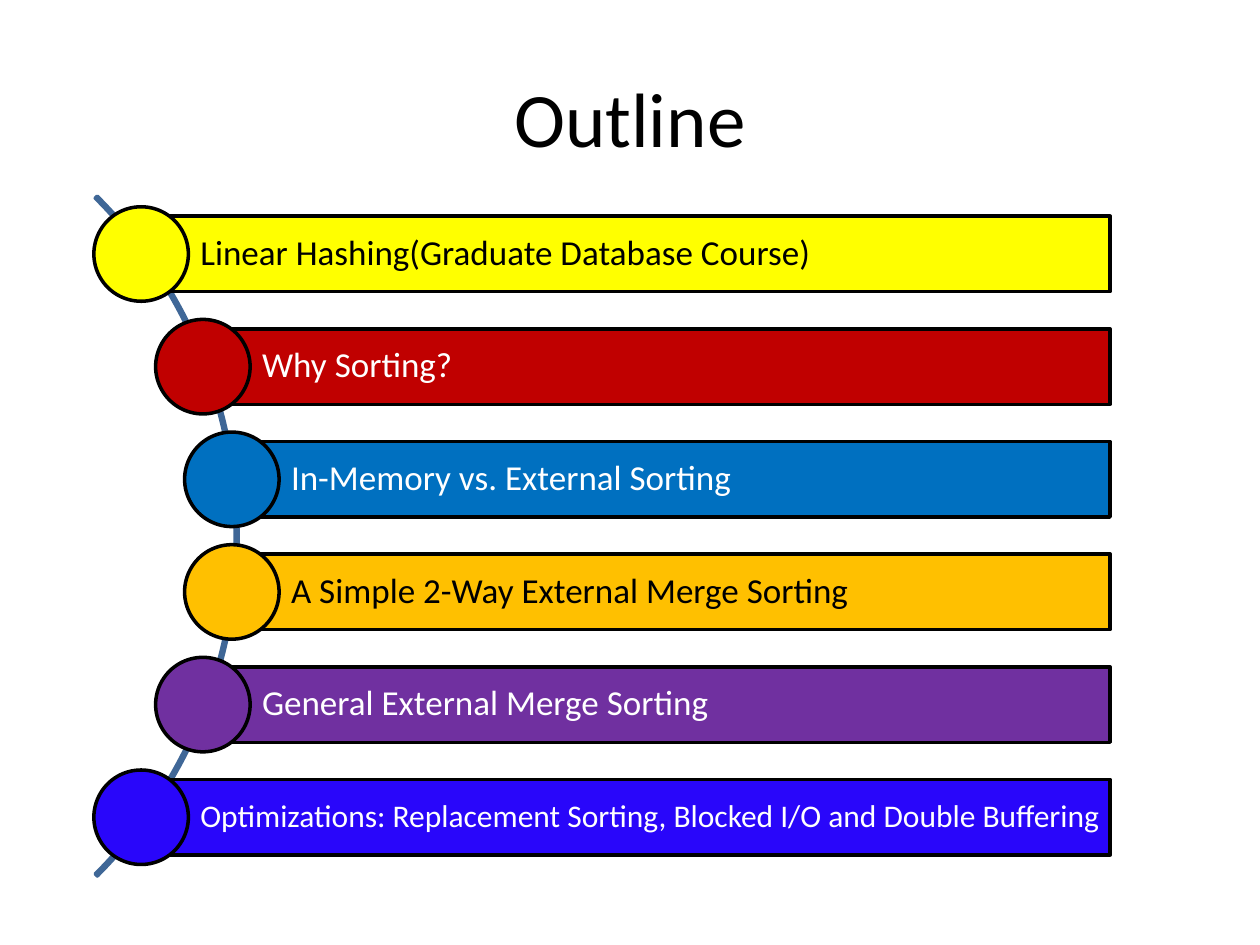
from pptx import Presentation
from pptx.dml.color import RGBColor
from pptx.enum.shapes import MSO_SHAPE
from pptx.enum.text import MSO_ANCHOR, PP_ALIGN
from pptx.util import Inches, Pt

RECT, OVAL, ARC = MSO_SHAPE.RECTANGLE, MSO_SHAPE.OVAL, MSO_SHAPE.BLOCK_ARC
MIDDLE = MSO_ANCHOR.MIDDLE
LEFT, CENTER = PP_ALIGN.LEFT, PP_ALIGN.CENTER

COLORS = {
    "black": "000000", "white": "FFFFFF", "steel": "3F6797",
    "yellow": "FFFF00", "red": "C00000", "blue": "0070C0",
    "amber": "FFC000", "purple": "7030A0", "indigo": "2906FA",
}

# text, fill, text colour, text size, circle centre (columns)
TOPICS = [
    ("Linear Hashing(Graduate Database Course)", "yellow", "black", 20, 11.2),
    ("Why Sorting?", "red", "white", 20, 16.1),
    ("In-Memory vs. External Sorting", "blue", "white", 20, 18.4),
    ("A Simple 2-Way External Merge Sorting", "amber", "black", 20, 18.4),
    ("General External Merge Sorting", "purple", "white", 20, 16.1),
    ("Optimizations: Replacement Sorting, Blocked I/O and Double Buffering",
     "indigo", "white", 18, 11.2),
]
FIRST_ROW, ROW_STEP = 20.16, 8.94
BAR_RIGHT, BAR_HEIGHT, CIRCLE = 88.1, 6, 7.5


class Deck:
    """Style and current slide; lengths are cells of a 100 by 75 grid."""
    FONT = "Calibri"
    LINE = Pt(2)

    def __init__(self):
        self.prs = Presentation()
        self.prs.slide_width, self.prs.slide_height = Inches(10), Inches(7.5)
        self.cell = self.prs.slide_width / 100
        self.s = self.prs.slides.add_slide(self.prs.slide_layouts[6])

    def grid(self, *cells):
        return [round(c * self.cell) for c in cells]

    def color(self, name):
        return RGBColor.from_string(COLORS[name])

    def shape(self, kind, box, fill=None, line="black"):
        sp = self.s.shapes.add_shape(kind, *self.grid(*box))
        sp.shadow.inherit = False
        if fill:
            sp.fill.solid()
            sp.fill.fore_color.rgb = self.color(fill)
        else:
            sp.fill.background()
        sp.line.color.rgb = self.color(line)
        sp.line.width = self.LINE
        return sp

    def label(self, sp, text, size, color, align=LEFT, insets=(1, 0.5, 1, 0.5)):
        tf = sp.text_frame
        tf.word_wrap = True
        tf.vertical_anchor = MIDDLE
        (tf.margin_left, tf.margin_top,
         tf.margin_right, tf.margin_bottom) = self.grid(*insets)
        p = tf.paragraphs[0]
        p.text, p.alignment = text, align
        p.font.name, p.font.size = self.FONT, Pt(size)
        p.font.color.rgb = self.color(color)
        return p

    def title(self, text, box):
        sp = self.s.shapes.add_textbox(*self.grid(*box))
        self.label(sp, text, 44, "black", CENTER)

    def arc(self, box, start, end, thickness):
        sp = self.shape(ARC, box, line="steel")
        for i, value in enumerate((start, end, thickness)):
            sp.adjustments[i] = value

    def topic(self, text, fill, color, size, x, y):
        """Bar with its circle, the circle centred on the bar's left end."""
        bar = self.shape(RECT, (x, y - BAR_HEIGHT / 2, BAR_RIGHT - x, BAR_HEIGHT), fill)
        p = self.label(bar, text, size, color, insets=(4.7, 0.5, 0.5, 0.5))
        p.line_spacing = 0.9
        self.shape(OVAL, (x - CIRCLE / 2, y - CIRCLE / 2, CIRCLE, CIRCLE), fill)


def main():
    deck = Deck()
    deck.title("Outline", (5, 3, 90, 12.5))
    deck.arc((-57.4, 4.4, 76.3, 76.3), 189, 27, 0.003)
    for i, topic in enumerate(TOPICS):
        deck.topic(*topic, FIRST_ROW + i * ROW_STEP)
    deck.prs.save("out.pptx")


if __name__ == "__main__":
    main()
